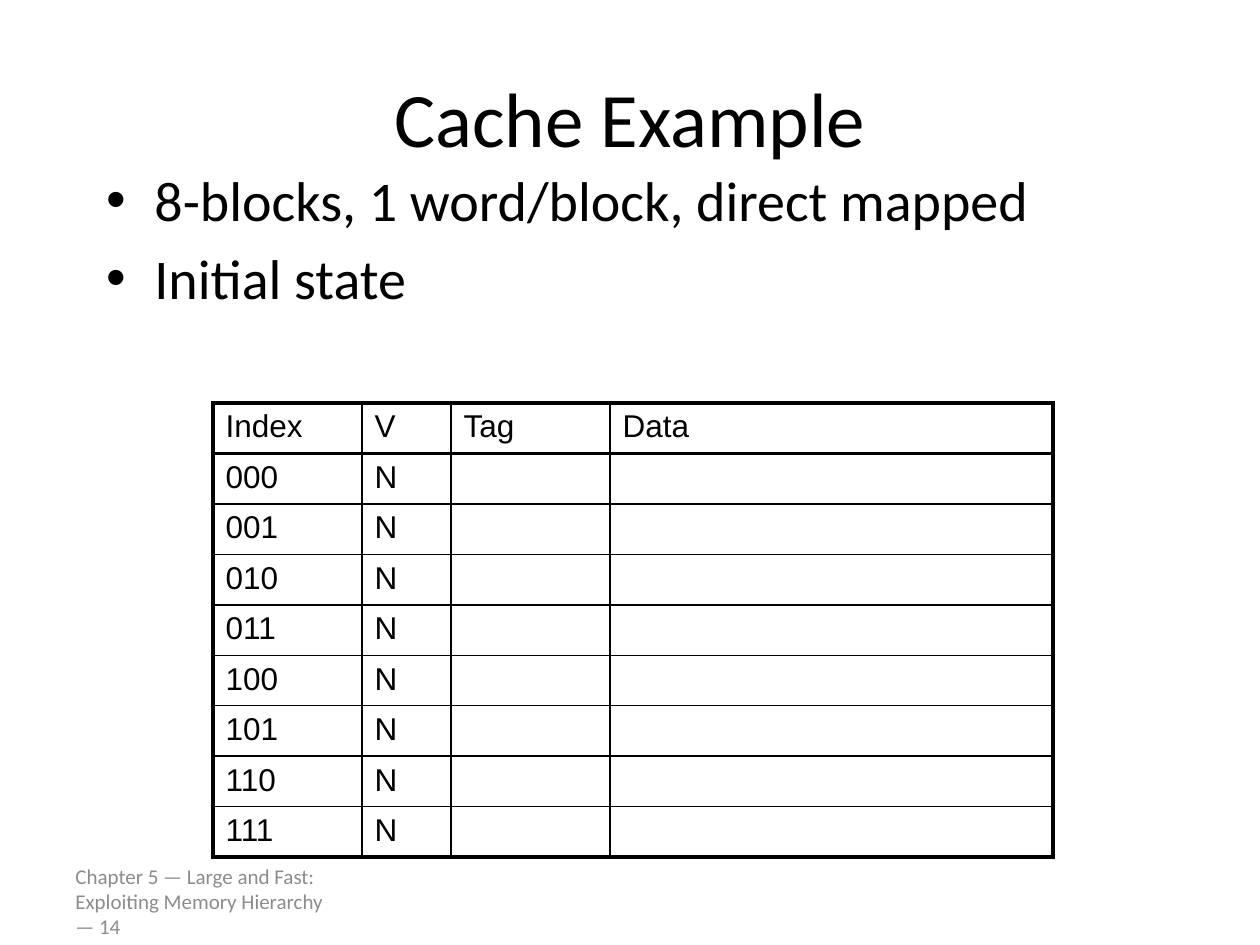
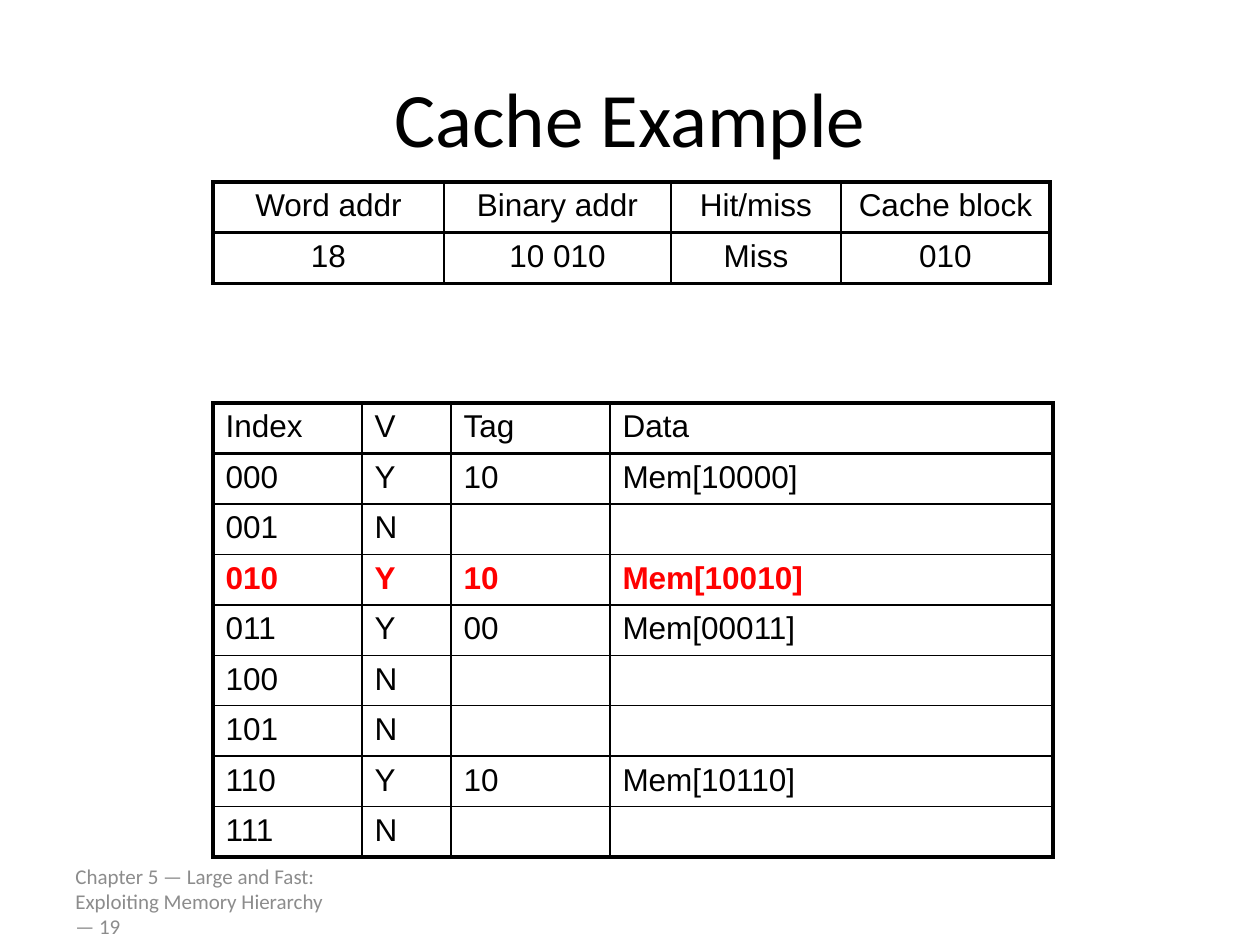
from dataclasses import dataclass
from pptx import Presentation
from pptx.dml.color import RGBColor
from pptx.enum.text import MSO_ANCHOR, PP_ALIGN
from pptx.oxml import parse_xml
from pptx.oxml.ns import nsdecls
from pptx.util import Emu, Pt

SCALE = 914400 / 126


def px(n):
    return Emu(round(n * SCALE))


@dataclass(frozen=True)
class Theme:
    ink: str = "000000"
    mark: str = "FF0000"
    grey: str = "8C8C8C"
    sans: str = "Calibri"
    grid: str = "Arial"
    head: int = 44
    body: int = 32
    cell: int = 18
    foot: int = 12
    thin: float = 1
    mid: float = 1.5
    thick: float = 2.25


class Deck:
    def __init__(self, theme):
        self.theme = theme
        self.prs = Presentation()
        self.prs.slide_width, self.prs.slide_height = px(1260), px(945)

    def start(self, title, number):
        self.slide = self.prs.slides.add_slide(self.prs.slide_layouts[5])
        self.footer(number)
        self.title(title)

    def label(self, para, text, size, face, color=None, bold=False):
        run = para.add_run()
        run.text = text
        for key, val in {"size": Pt(size), "name": face, "bold": bold}.items():
            setattr(run.font, key, val)
        run.font.color.rgb = RGBColor.from_string(color or self.theme.ink)

    def box(self, x, y, w, h, anchor):
        frame = self.slide.shapes.add_textbox(px(x), px(y), px(w), px(h)).text_frame
        frame.word_wrap = True
        frame.vertical_anchor = anchor
        return frame

    def footer(self, number):
        t = self.theme
        frame = self.box(63, 876, 294, 50, MSO_ANCHOR.MIDDLE)
        text = f"Chapter 5 — Large and Fast: Exploiting Memory Hierarchy — {number}"
        self.label(frame.paragraphs[0], text, t.foot, t.sans, t.grey)

    def title(self, text):
        shape = self.slide.shapes.title
        place = {"left": 63, "top": 38, "width": 1134, "height": 158}
        for key, val in place.items():
            setattr(shape, key, px(val))
        frame = shape.text_frame
        frame.vertical_anchor = MSO_ANCHOR.MIDDLE
        para = frame.paragraphs[0]
        para.alignment = PP_ALIGN.CENTER
        self.label(para, text, self.theme.head, self.theme.sans)

    def bullets(self, x, y, w, h, items):
        t = self.theme
        frame = self.box(x, y, w, h, MSO_ANCHOR.TOP)
        for i, text in enumerate(items):
            para = frame.add_paragraph() if i else frame.paragraphs[0]
            props = para._p.get_or_add_pPr()
            props.set("marL", str(px(48)))
            props.set("indent", str(-px(48)))
            for xml in ('<a:buFont {} typeface="Arial"/>', '<a:buChar {} char="•"/>'):
                props.append(parse_xml(xml.format(nsdecls("a"))))
            if i:
                para.space_before = Pt(t.body * 0.2)
            self.label(para, text, t.body, t.sans)

    def edges(self, cell, widths):
        props = cell._tc.get_or_add_tcPr()
        for i, (side, width) in enumerate(zip("LRTB", widths)):
            props.insert(i, parse_xml(
                f'<a:ln{side} {nsdecls("a")} w="{Pt(width)}"><a:solidFill>'
                f'<a:srgbClr val="{self.theme.ink}"/></a:solidFill></a:ln{side}>'))

    def table(self, x, y, cols, highs, rows, align=PP_ALIGN.LEFT, hot=None):
        t = self.theme
        frame = self.slide.shapes.add_table(
            len(rows), len(cols), px(x), px(y), px(sum(cols)), px(sum(highs)))
        grid = frame.table
        grid.first_row = grid.horz_banding = False
        for col, wide in zip(grid.columns, cols):
            col.width = px(wide)
        for row, high in zip(grid.rows, highs):
            row.height = px(high)
        # Thick frame, medium rule under the header, thin rules elsewhere
        down = [t.thick] + [t.thin] * (len(cols) - 1) + [t.thick]
        across = [t.thick, t.mid] + [t.thin] * (len(rows) - 2) + [t.thick]
        for r, row in enumerate(rows):
            for c, text in enumerate(row):
                cell = grid.cell(r, c)
                cell.fill.background()
                self.edges(cell, (down[c], down[c + 1], across[r], across[r + 1]))
                if not text:
                    cell.margin_top = cell.margin_bottom = 0
                    continue
                para = cell.text_frame.paragraphs[0]
                para.alignment = align
                self.label(para, text, t.cell, t.grid,
                           t.mark if r == hot else t.ink, r == hot)

    def cache(self, blocks, hot=None):
        """Draw eight blocks; blocks maps an index to its tag and data."""
        rows = [("Index", "V", "Tag", "Data")]
        for i in range(8):
            valid = "Y" if i in blocks else "N"
            rows.append((f"{i:03b}", valid, *blocks.get(i, ("", ""))))
        self.table(213, 403, (149, 89, 159, 443), [48] * 9, rows,
                   hot=None if hot is None else hot + 1)


def main():
    deck = Deck(Theme())

    # Empty cache
    deck.start("Cache Example", 14)
    deck.bullets(94, 159, 1140, 184,
                 ("8-blocks, 1 word/block, direct mapped", "Initial state"))
    deck.cache({})

    # Miss that replaces block 010
    deck.start("Cache Example", 19)
    tags = {0: "10", 2: "10", 3: "00", 6: "10"}
    deck.cache({i: (tag, f"Mem[{tag}{i:03b}]") for i, tag in tags.items()}, hot=2)
    deck.table(213, 182, (231, 227, 170, 209), (48, 51),
               (("Word addr", "Binary addr", "Hit/miss", "Cache block"),
                ("18", "10 010", "Miss", "010")), PP_ALIGN.CENTER)

    deck.prs.save("out.pptx")


if __name__ == "__main__":
    main()
